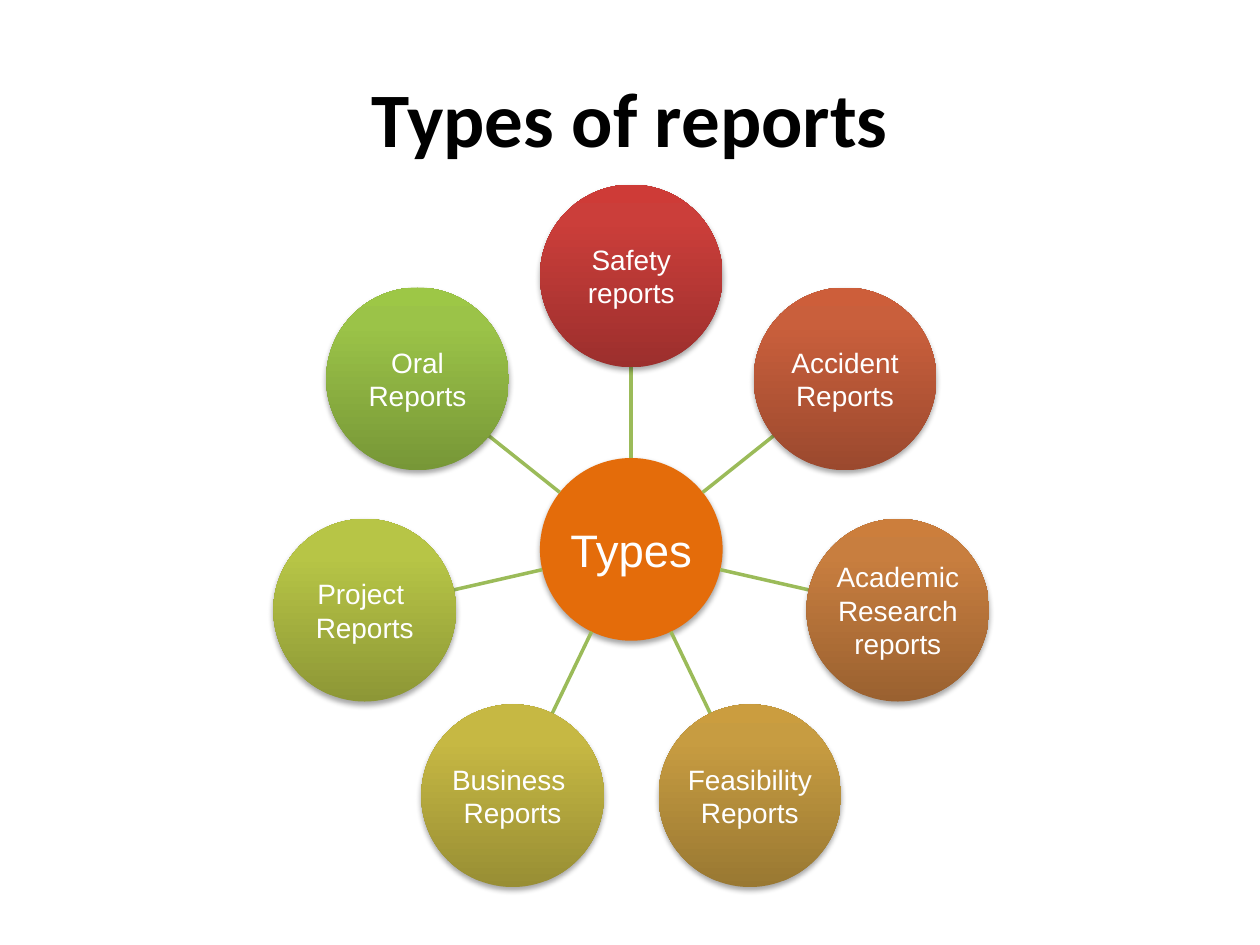
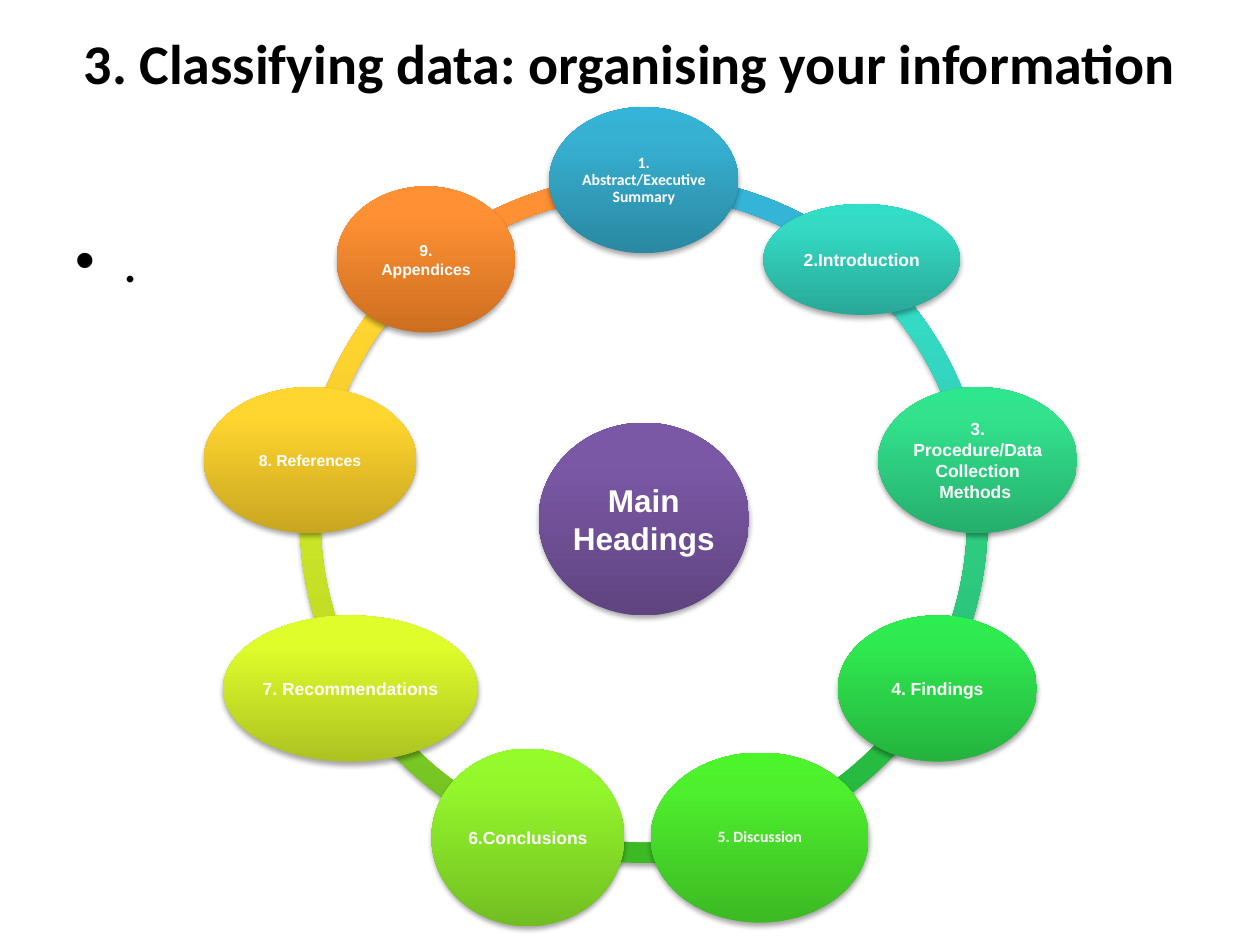
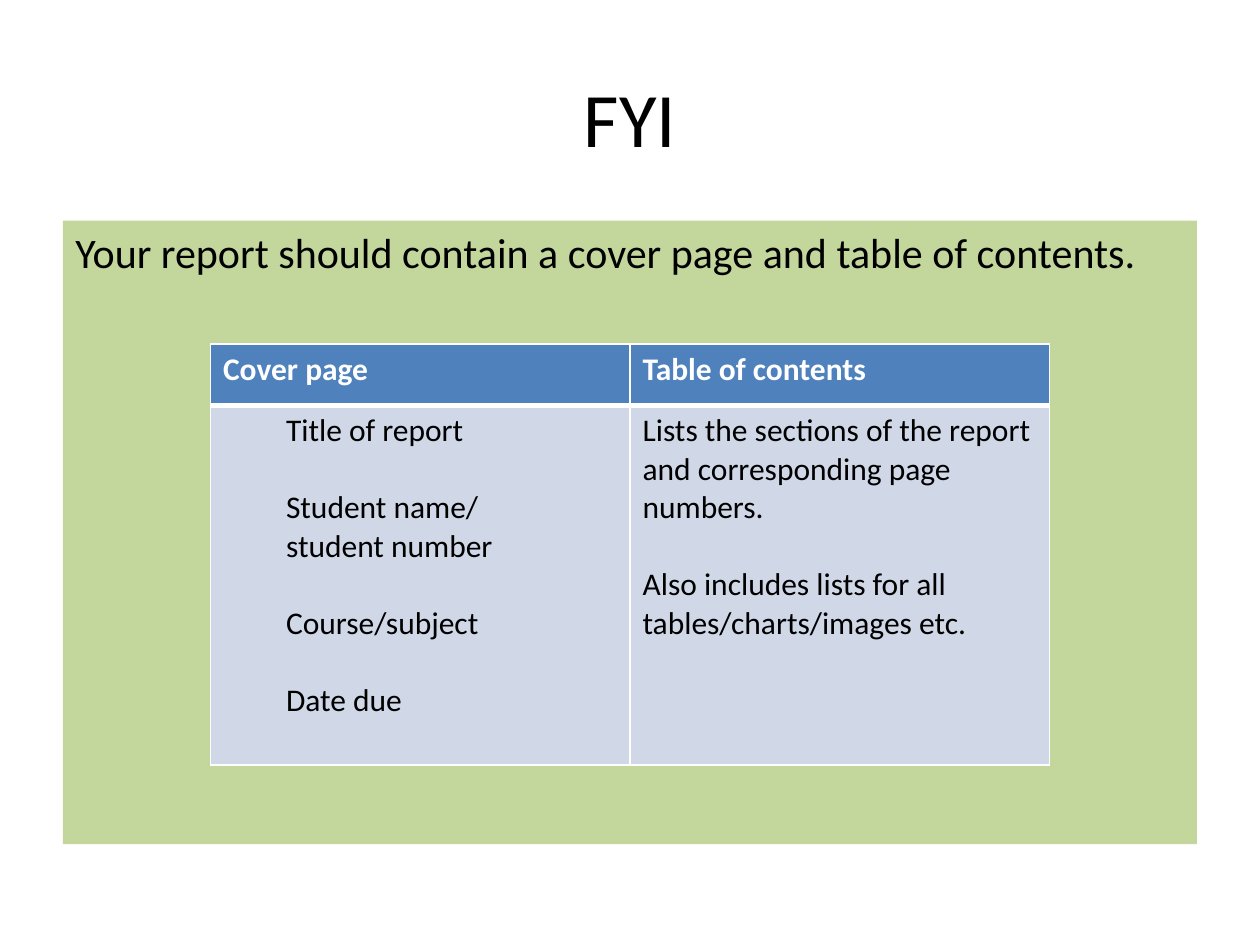
from math import cos, radians, sin

from lxml import etree
from pptx import Presentation
from pptx.dml.color import RGBColor
from pptx.enum.shapes import MSO_CONNECTOR, MSO_SHAPE
from pptx.enum.text import MSO_ANCHOR, PP_ALIGN
from pptx.oxml import parse_xml
from pptx.oxml.ns import qn
from pptx.util import Inches, Pt

LEFT, CENTER = PP_ALIGN.LEFT, PP_ALIGN.CENTER
TOP, MIDDLE = MSO_ANCHOR.TOP, MSO_ANCHOR.MIDDLE
ELLIPSE, ARC, RECT = MSO_SHAPE.OVAL, MSO_SHAPE.BLOCK_ARC, MSO_SHAPE.RECTANGLE
STRAIGHT = MSO_CONNECTOR.STRAIGHT
NS = 'xmlns:a="http://schemas.openxmlformats.org/drawingml/2006/main"'

COLORS = {
    "black": "000000",
    "white": "FFFFFF",
    "hub": "E46C0A",
    "spoke": "9BBB59",
    "panel": "C3D69B",
    "header": "4F81BD",
    "cell": "D0D8E8",
}
# Gradient stops from the bottom of a shape to its top
GRADIENTS = {
    "red": ("9C2F2D", "CB3E3A", "CE3B37"),
    "rust": ("9B492E", "C95F3C", "CD5E3A"),
    "copper": ("9A6130", "C87E3F", "CC7E3C"),
    "ochre": ("997832", "C79C41", "CB9D3F"),
    "mustard": ("988E34", "C6B843", "C9BB41"),
    "olive": ("8D9736", "B7C546", "B9C844"),
    "leaf": ("779737", "9BC348", "9DC746"),
    "purple": ("5F4480", "7B58A6", "7C57A8"),
    "blue": ("2A88A2", "37B1D2", "34B4D6"),
    "teal": ("28A897", "34DAC4", "31DEC7"),
    "mint": ("26AE6D", "32E28D", "2EE68E"),
    "emerald": ("25B33E", "2FE950", "2CEE4E"),
    "green": ("3CB923", "4EF02E", "4CF52A"),
    "lime": ("72BE22", "94F72C", "95FC29"),
    "lemon": ("ACC321", "DFFD2B", "E1FF2B"),
    "gold": ("C8A621", "FFD52F", "FFD530"),
    "orange": ("CC6E20", "FF9034", "FF9136"),
}
STOPS = (0, 80000, 100000)


def font(size, name="Calibri", color="black", bold=False):
    return {"size": Pt(size), "name": name, "bold": bold, "color": color}


def rgb(name):
    return RGBColor.from_string(COLORS[name])


def polar(cx, cy, radius, degrees):
    """Point at a clockwise angle from twelve o'clock."""
    a = radians(degrees)
    return cx + radius * sin(a), cy - radius * cos(a)


class Deck:
    def __init__(self):
        self.prs = Presentation()
        self.prs.slide_width, self.prs.slide_height = Inches(10), Inches(7.5)
        self.s = None

    def slide(self, title, size=44, bold=True, top=0.3, height=1.25):
        self.s = self.prs.slides.add_slide(self.prs.slide_layouts[6])
        self.text(0.5, top, 9, height, [title], font(size, bold=bold), CENTER, MIDDLE)

    def fill_text(self, tf, lines, fmt, align=LEFT, anchor=TOP, inset=None, **para):
        """Fill a text frame; para holds extra paragraph attributes."""
        tf.word_wrap = True
        tf.vertical_anchor = anchor
        if inset is not None:
            for side in ("left", "right", "top", "bottom"):
                setattr(tf, "margin_" + side, Inches(inset))
        for i, line in enumerate(lines):
            p = tf.paragraphs[0] if i == 0 else tf.add_paragraph()
            p.alignment = align
            for key, value in para.items():
                setattr(p, key, value)
            r = p.add_run()
            r.text = line
            for key, value in fmt.items():
                if key == "color":
                    r.font.color.rgb = rgb(value)
                else:
                    setattr(r.font, key, value)

    def text(self, x, y, w, h, *args, **kwargs):
        tf = self.s.shapes.add_textbox(*map(Inches, (x, y, w, h))).text_frame
        self.fill_text(tf, *args, **kwargs)
        return tf

    def bullet(self, x, y, w, h, line, fmt):
        tf = self.text(x, y, w, h, [line], fmt)
        pPr = tf.paragraphs[0]._p.get_or_add_pPr()
        pPr.set("marL", str(Inches(0.38)))
        pPr.set("indent", str(-Inches(0.38)))
        etree.SubElement(pPr, qn("a:buFont")).set("typeface", "Arial")
        etree.SubElement(pPr, qn("a:buChar")).set("char", "•")

    def shape(self, kind, x, y, w, h, fill):
        sp = self.s.shapes.add_shape(kind, *map(Inches, (x, y, w, h)))
        sp.shadow.inherit = False
        sp.line.fill.background()
        if fill in COLORS:
            sp.fill.solid()
            sp.fill.fore_color.rgb = rgb(fill)
        else:
            stops = "".join(f'<a:gs pos="{pos}"><a:srgbClr val="{c}"/></a:gs>'
                            for pos, c in zip(STOPS, GRADIENTS[fill]))
            geometry = sp._element.spPr.find(qn("a:prstGeom"))
            geometry.addnext(parse_xml(f'<a:gradFill {NS}><a:gsLst>{stops}</a:gsLst>'
                                       '<a:lin ang="16200000" scaled="0"/></a:gradFill>'))
        return sp

    def raised(self, *args):
        """Shape with a soft shadow below it."""
        sp = self.shape(*args)
        sp._element.spPr.find(qn("a:effectLst")).append(parse_xml(
            f'<a:outerShdw {NS} blurRad="{Pt(3.1)}" dist="{Pt(1.8)}" dir="5400000" '
            'rotWithShape="0"><a:srgbClr val="000000"><a:alpha val="35000"/>'
            '</a:srgbClr></a:outerShdw>'))
        return sp

    def bubble(self, cx, cy, w, h, fill, lines, fmt, **para):
        sp = self.raised(ELLIPSE, cx - w / 2, cy - h / 2, w, h, fill)
        self.fill_text(sp.text_frame, lines, fmt, CENTER, MIDDLE, 0.01, **para)

    def arc(self, cx, cy, radius, start, end, fill):
        """Ring segment between two clockwise angles from twelve o'clock."""
        sp = self.raised(ARC, cx - radius, cy - radius, 2 * radius, 2 * radius, fill)
        for i, degrees in enumerate((start, end)):
            sp.adjustments[i] = (degrees + 270) % 360 * 0.6
        sp.adjustments[2] = 0.03

    def line(self, begin, end, color, width):
        c = self.s.shapes.add_connector(STRAIGHT, *map(Inches, begin + end))
        c.line.color.rgb = rgb(color)
        c.line.width = Pt(width)
        etree.SubElement(c._element.spPr, qn("a:effectLst"))

    def table(self, x, y, widths, heights):
        frame = self.s.shapes.add_table(len(heights), len(widths), Inches(x), Inches(y),
                                        Inches(sum(widths)), Inches(sum(heights)))
        t = frame.table
        t.first_row = t.horz_banding = False
        for col, width in zip(t.columns, widths):
            col.width = Inches(width)
        for row, height in zip(t.rows, heights):
            row.height = Inches(height)
        return t

    def cell(self, cell, fill, borders, lines, fmt):
        """borders gives widths for left, right, top and bottom."""
        tcPr = cell._tc.get_or_add_tcPr()
        for side, width in zip("LRTB", borders):
            tcPr.append(parse_xml(
                f'<a:ln{side} {NS} w="{Pt(width)}"><a:solidFill>'
                f'<a:srgbClr val="{COLORS["white"]}"/></a:solidFill></a:ln{side}>'))
        cell.fill.solid()
        cell.fill.fore_color.rgb = rgb(fill)
        self.fill_text(cell.text_frame, lines, fmt)


def report_types(d):
    d.slide("Types of reports")
    cx, cy, size, reach = 5.01, 4.36, 1.45, 2.17
    types = [
        ("red", ["Safety", "reports"]),
        ("rust", ["Accident Reports"]),
        ("copper", ["Academic", "Research ", "reports"]),
        ("ochre", ["Feasibility", "Reports"]),
        ("mustard", ["Business ", "Reports"]),
        ("olive", ["Project ", "Reports"]),
        ("leaf", ["Oral Reports"]),
    ]
    d.bubble(cx, cy, size, size, "hub", ["Types "], font(26, "Arial", "white"))
    for i, (fill, lines) in enumerate(types):
        angle = i * 360 / len(types)
        d.line(polar(cx, cy, size / 2, angle), polar(cx, cy, reach - size / 2, angle),
               "spoke", 2)
        d.bubble(*polar(cx, cy, reach, angle), size, size, fill, lines,
                 font(16, "Arial", "white"))


def main_headings(d):
    d.slide("3. Classifying data: organising your information", 32, top=0, height=0.99)
    d.bullet(0.5, 1.75, 9, 4.95, ".", font(32))
    cx, cy = 5.11, 4.12
    small = font(9, "Calibri", "white", True)
    plain = font(9, "Arial", "white", True)
    large = font(10, "Arial", "white", True)
    headings = [
        ("blue", 1.5, 1.16, small, ["1. Abstract/Executive Summary"]),
        ("teal", 1.56, 0.88, large, ["2.Introduction"]),
        ("mint", 1.58, 1.16, large, ["3. Procedure/Data Collection Methods "]),
        ("emerald", 1.58, 1.16, large, ["4. Findings"]),
        ("green", 1.73, 1.35, small, ["5. Discussion"]),
        ("lime", 1.53, 1.41, large, ["6.Conclusions"]),
        ("lemon", 2.02, 1.16, large, ["7. Recommendations"]),
        ("gold", 1.69, 1.16, plain, ["8. References"]),
        ("orange", 1.42, 1.16, plain, ["9.", "Appendices"]),
    ]
    step = 360 / len(headings)
    for i in reversed(range(len(headings))):
        d.arc(cx, cy, 2.73, i * step, (i + 1) * step, headings[i][0])
    d.bubble(cx, cy, 1.67, 1.53, "purple", ["Main Headings"],
             font(18, "Arial", "white", True))
    for i, (fill, w, h, fmt, lines) in enumerate(headings):
        para = {"line_spacing": 0.9} if fmt is small else {}
        d.bubble(*polar(cx, cy, 2.69, i * step), w, h, fill, lines, fmt, **para)


def cover_and_contents(d):
    d.slide("FYI", bold=False)
    panel = d.shape(RECT, 0.5, 1.75, 9, 4.95, "panel")
    d.fill_text(panel.text_frame,
                ["Your report should contain a cover page and table of contents."],
                font(24))
    t = d.table(1.67, 2.73, [3.33, 3.33], [0.49, 2.85])
    columns = [
        ("Cover page", ["Title of report", "Student name/", "student number",
                        "Course/subject", "Date due"]),
        ("Table of contents",
         ["Lists the sections of the report and corresponding page numbers.",
          "Also includes lists for all tables/charts/images etc."]),
    ]
    for col, (heading, lines) in enumerate(columns):
        d.cell(t.cell(0, col), "header", (1, 1, 1, 3), [heading],
               font(18, color="white", bold=True))
        body = t.cell(1, col)
        d.cell(body, "cell", (1, 1, 3, 1), lines, font(18))
        for p in body.text_frame.paragraphs[1:]:
            if p.text != "student number":
                p.space_before = Pt(22)
    for p in t.cell(1, 0).text_frame.paragraphs:
        p._p.get_or_add_pPr().set("marL", str(Inches(0.5)))


def main():
    d = Deck()
    report_types(d)
    main_headings(d)
    cover_and_contents(d)
    d.prs.save("out.pptx")


if __name__ == "__main__":
    main()
